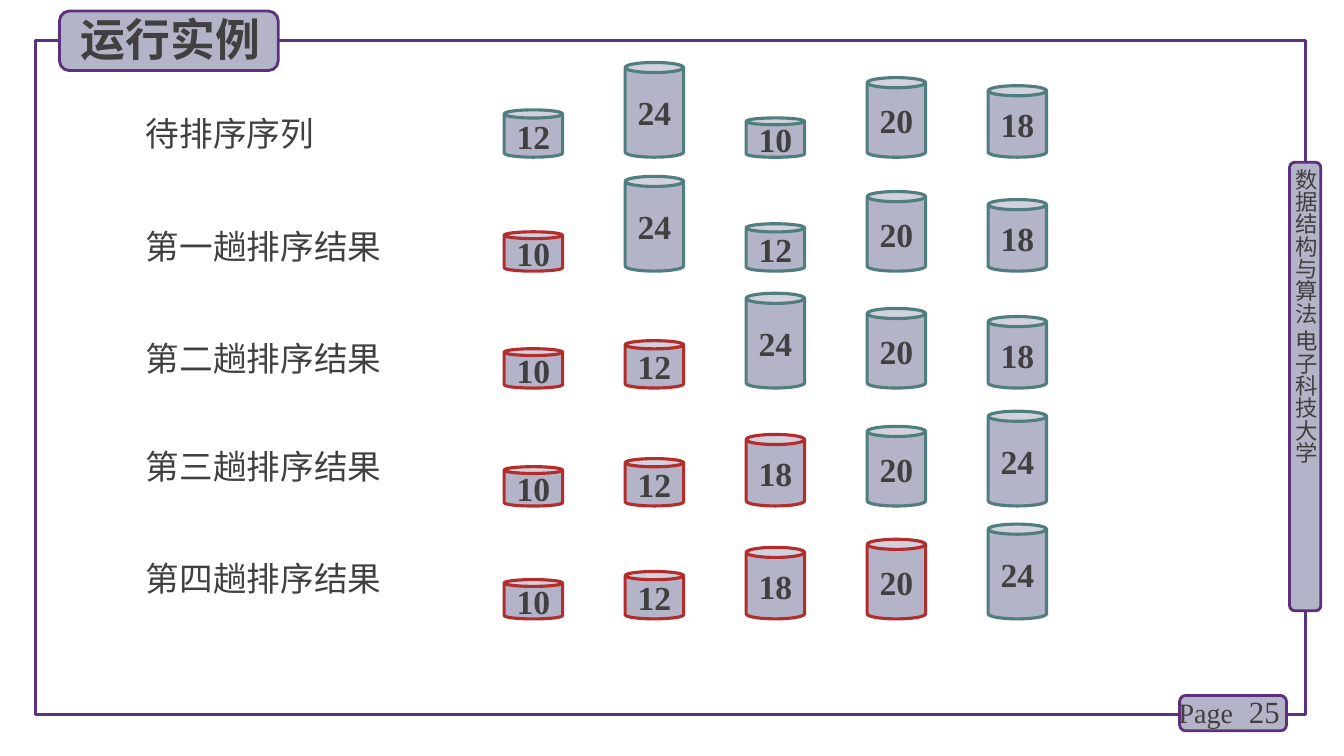
"""Build the slide that traces a selection sort on five cylinders."""
from pptx import Presentation
from pptx.dml.color import RGBColor
from pptx.enum.shapes import MSO_SHAPE
from pptx.enum.text import MSO_ANCHOR, MSO_AUTO_SIZE, PP_ALIGN
from pptx.oxml.ns import qn
from pptx.util import Pt

PX = 9144
RECT, ROUNDED, CAN = MSO_SHAPE.RECTANGLE, MSO_SHAPE.ROUNDED_RECTANGLE, MSO_SHAPE.CAN
LEFT, CENTER, RIGHT = PP_ALIGN.LEFT, PP_ALIGN.CENTER, PP_ALIGN.RIGHT
TOP, MIDDLE = MSO_ANCHOR.TOP, MSO_ANCHOR.MIDDLE
NO_AUTOFIT = MSO_AUTO_SIZE.NONE

LAVENDER = RGBColor(0xB4, 0xB4, 0xC8)
FRAME_PURPLE = RGBColor(0x5A, 0x32, 0x7D)
BADGE_PURPLE = RGBColor(0x5C, 0x30, 0x7D)
UNSORTED_TEAL = RGBColor(0x50, 0x7D, 0x7D)
SORTED_RED = RGBColor(0xB4, 0x2D, 0x2D)
INK = RGBColor(0x40, 0x40, 0x40)

CJK = "Noto Sans CJK SC"
SERIF = "Times New Roman"

SEQUENCE = [12, 24, 10, 20, 18]
PASSES = [
    ("待排序序列", 107, 156),
    ("第一趟排序结果", 219, 269),
    ("第二趟排序结果", 330, 385),
    ("第三趟排序结果", 437, 502),
    ("第四趟排序结果", 549, 614),
]
CAN_LEFT, CAN_STEP, CAN_WIDTH = 500, 120, 58
CAN_PX_PER_UNIT = 3.93


def emu(*lengths):
    """Turn px lengths into EMU."""
    return [length * PX for length in lengths]


def write(holder, text, size, font=CJK, bold=False, align=LEFT, anchor=TOP, wrap=True):
    """Put one formatted line of text into a shape."""
    frame = holder.text_frame
    frame_format = {"auto_size": NO_AUTOFIT, "word_wrap": wrap, "vertical_anchor": anchor}
    for name, value in frame_format.items():
        setattr(frame, name, value)
    paragraph = frame.paragraphs[0]
    paragraph.alignment = align
    run = paragraph.add_run()
    run.text = text
    for name, value in {"name": font, "size": Pt(size), "bold": bold}.items():
        setattr(run.font, name, value)
    run.font.color.rgb = INK
    east_asian = run.font.element.makeelement(qn("a:ea"), {"typeface": font}) if hasattr(
        run.font, "element") else run._r.get_or_add_rPr().makeelement(
        qn("a:ea"), {"typeface": font})
    run._r.get_or_add_rPr().find(qn("a:latin")).addnext(east_asian)


def add_outlined(slide, preset, box, line, weight, fill=LAVENDER):
    """Add a preset shape with an outline and an optional fill."""
    shape = slide.shapes.add_shape(preset, *emu(*box))
    shape.shadow.inherit = False
    if fill is None:
        shape.fill.background()
    else:
        shape.fill.solid()
        shape.fill.fore_color.rgb = fill
    shape.line.color.rgb = line
    shape.line.width = Pt(weight)
    return shape


def add_label(slide, box, text, size, **text_format):
    """Add a text box with one line of text."""
    label = slide.shapes.add_textbox(*emu(*box))
    write(label, text, size, **text_format)
    return label


def add_course_tab(slide):
    """Add the vertical course name on the right edge."""
    add_outlined(slide, ROUNDED, (1279, 161, 31, 445), BADGE_PURPLE, 2)
    course = add_label(slide, (1282, 167, 27, 449), "数据结构与算法 电子科技大学", 16)
    frame = course.text_frame
    for side in ("left", "top", "right", "bottom"):
        setattr(frame, f"margin_{side}", 0)
    frame._txBody.bodyPr.set("vert", "eaVert")


def add_page_badge(slide):
    """Add the page number badge."""
    add_outlined(slide, ROUNDED, (1170, 690, 106, 35), BADGE_PURPLE, 2)
    add_label(slide, (1187, 686, 92, 40), "25", 22, font=SERIF, align=RIGHT, anchor=MIDDLE)
    add_label(slide, (1159, 685, 128, 44), "Page", 20, font=SERIF)


def add_title(slide):
    """Set the title on top of its badge."""
    add_outlined(slide, ROUNDED, (59, 11, 217, 59), BADGE_PURPLE, 2)
    title = slide.shapes.title
    title.left, title.top, title.width, title.height = emu(70, 7, 210, 64)
    write(title, "运行实例", 32, bold=True)
    slide.shapes.element.append(title.element)


def add_can(slide, column, bottom, value, is_sorted):
    """Add a cylinder as tall as its value."""
    height = round(value * CAN_PX_PER_UNIT)
    box = (CAN_LEFT + column * CAN_STEP, bottom - height, CAN_WIDTH, height)
    can = add_outlined(slide, CAN, box, SORTED_RED if is_sorted else UNSORTED_TEAL, 2.25)
    can.adjustments[0] = 0.173
    write(can, str(value), 24, font=SERIF, bold=True, align=CENTER, anchor=MIDDLE, wrap=False)


def selection_pass(values, start):
    """Return the values with the smallest remaining one swapped to start."""
    smallest = values.index(min(values[start:]), start)
    swapped = list(values)
    swapped[start], swapped[smallest] = values[smallest], values[start]
    return swapped


def main():
    """Build and save the slide."""
    deck = Presentation()
    deck.slide_width, deck.slide_height = emu(1333, 750)
    slide = deck.slides.add_slide(deck.slide_layouts.get_by_name("Title Only"))
    add_outlined(slide, RECT, (35, 40, 1260, 669), FRAME_PURPLE, 2.25, fill=None)
    add_course_tab(slide)
    add_page_badge(slide)
    add_title(slide)
    values = SEQUENCE
    for sorted_count, (caption, caption_top, can_bottom) in enumerate(PASSES):
        if sorted_count:
            values = selection_pass(values, sorted_count - 1)
        add_label(slide, (135, caption_top, 293, 50), caption, 24)
        for column, value in enumerate(values):
            add_can(slide, column, can_bottom, value, column < sorted_count)
    deck.save("out.pptx")


if __name__ == "__main__":
    main()
